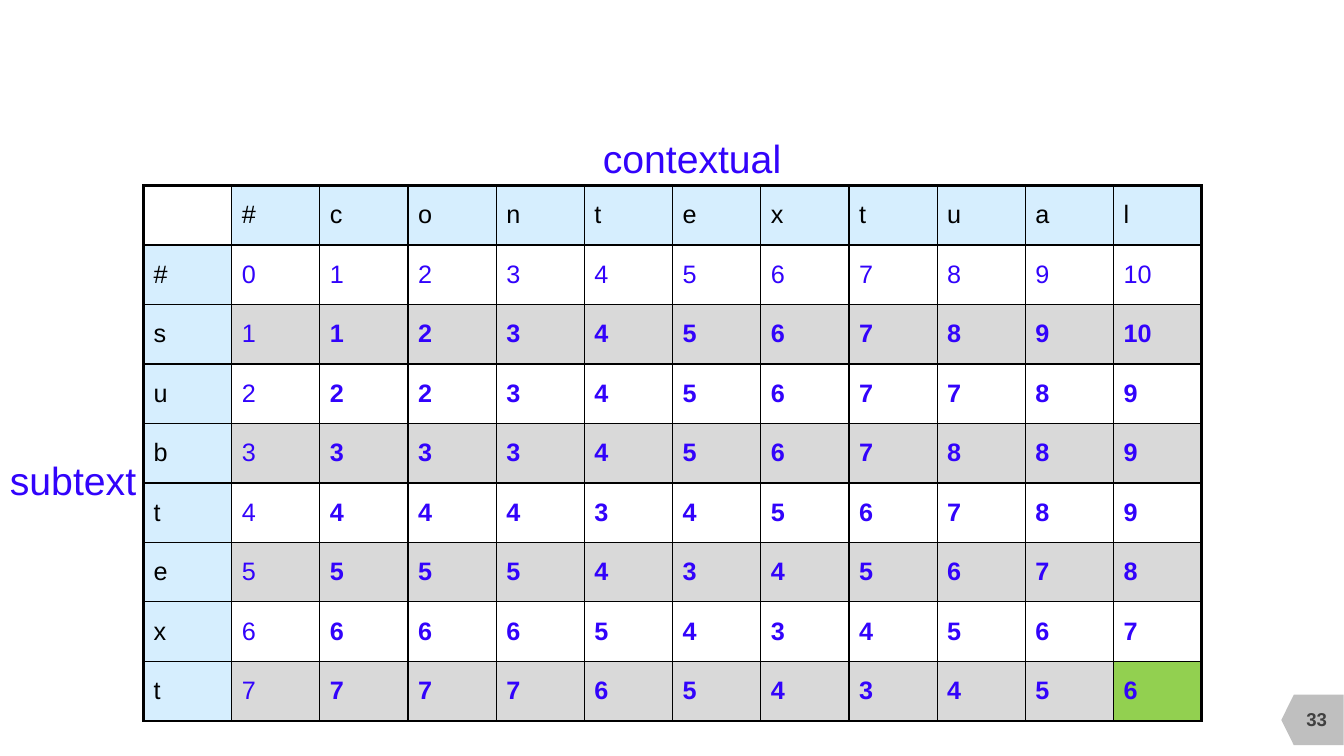
from lxml import etree
from pptx import Presentation
from pptx.dml.color import RGBColor
from pptx.enum.shapes import MSO_SHAPE
from pptx.enum.text import MSO_ANCHOR, PP_ALIGN
from pptx.oxml.ns import qn
from pptx.util import Pt

PX = 6350
FONT = "Arial"
BLACK, BLUE = "000000", "3203FB"
HEADER, STRIPE, RESULT = "D6EEFE", "D9D9D9", "92D050"
PAGE_TAB = MSO_SHAPE.FLOWCHART_OFFPAGE_CONNECTOR
MIDDLE = MSO_ANCHOR.MIDDLE
LEFT, CENTER = PP_ALIGN.LEFT, PP_ALIGN.CENTER
COLUMN_WIDTH, ROW_HEIGHT = 126, 85
THIN, THICK = 1, 2.25


def rgb(code):
    return RGBColor.from_string(code)


def write(paragraph, text, size, color, bold=False):
    run = paragraph.add_run()
    run.text = text
    run.font.name = FONT
    run.font.size = Pt(size)
    run.font.bold = bold
    run.font.color.rgb = rgb(color)


prs = Presentation()
prs.slide_width, prs.slide_height = 1920 * PX, 1080 * PX
slide = prs.slides.add_slide(prs.slide_layouts[6])

page_tab = slide.shapes.add_shape(PAGE_TAB, 1839 * PX, 984 * PX, 72 * PX, 89 * PX)
page_tab.rotation = 90
page_tab.shadow.inherit = False
page_tab.fill.solid()
page_tab.fill.fore_color.rgb = rgb("BFBFBF")
page_tab.line.fill.background()

labels = [
    ("33", 1833, 998, 96, 58, 13.3, "404040", True, CENTER),
    ("subtext", 0, 644, 212, 82, 28, BLUE, False, LEFT),
    ("contextual", 847, 184, 288, 82, 28, BLUE, False, LEFT),
]
for text, left, top, width, height, size, color, bold, align in labels:
    label = slide.shapes.add_textbox(left * PX, top * PX, width * PX, height * PX)
    frame = label.text_frame
    frame.word_wrap = False
    frame.vertical_anchor = MIDDLE
    frame.paragraphs[0].alignment = align
    write(frame.paragraphs[0], text, size, color, bold)

distances = [
    ["", *"#contextual"],
    "# 0 1 2 3 4 5 6 7 8 9 10".split(),
    "s 1 1 2 3 4 5 6 7 8 9 10".split(),
    "u 2 2 2 3 4 5 6 7 7 8 9".split(),
    "b 3 3 3 3 4 5 6 7 8 8 9".split(),
    "t 4 4 4 4 3 4 5 6 7 8 9".split(),
    "e 5 5 5 5 4 3 4 5 6 7 8".split(),
    "x 6 6 6 6 5 4 3 4 5 6 7".split(),
    "t 7 7 7 7 6 5 4 3 4 5 6".split(),
]
last_row, last_column = len(distances) - 1, len(distances[0]) - 1
grid = slide.shapes.add_table(
    last_row + 1, last_column + 1, 205 * PX, 265 * PX,
    (last_column + 1) * COLUMN_WIDTH * PX, (last_row + 1) * ROW_HEIGHT * PX,
).table
for column in grid.columns:
    column.width = COLUMN_WIDTH * PX

for r, values in enumerate(distances):
    grid.rows[r].height = ROW_HEIGHT * PX
    for c, value in enumerate(values):
        cell = grid.cell(r, c)
        cell.vertical_anchor = MIDDLE
        is_header = r == 0 or c == 0

        edges = {"a:lnL": c == 0, "a:lnR": c == last_column,
                 "a:lnT": r == 0, "a:lnB": r == last_row}
        for tag, is_outer in edges.items():
            border = etree.SubElement(cell._tc.get_or_add_tcPr(), qn(tag))
            border.set("w", str(Pt(THICK if is_outer else THIN)))
            border_fill = etree.SubElement(border, qn("a:solidFill"))
            etree.SubElement(border_fill, qn("a:srgbClr")).set("val", BLACK)

        if (r, c) == (last_row, last_column):
            fill = RESULT
        elif is_header:
            fill = HEADER if value else None
        else:
            fill = STRIPE if r % 2 == 0 else None
        if fill:
            cell.fill.solid()
            cell.fill.fore_color.rgb = rgb(fill)
        else:
            cell.fill.background()

        if value:
            write(cell.text_frame.paragraphs[0], value, 18,
                  BLACK if is_header else BLUE, r > 1 and c > 1)

prs.save("out.pptx")
